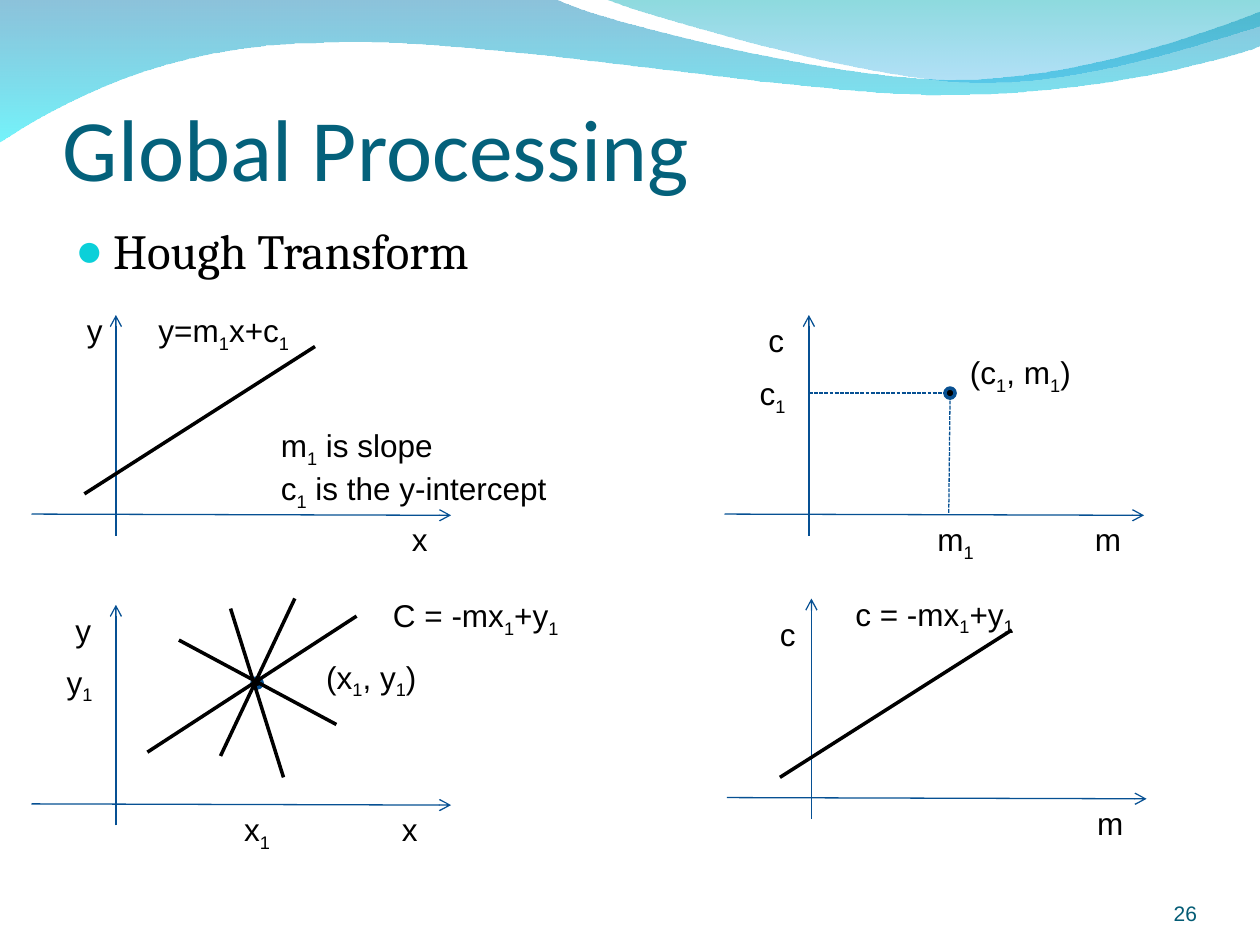
from dataclasses import dataclass

from lxml import etree
from pptx import Presentation
from pptx.dml.color import RGBColor
from pptx.enum.dml import MSO_LINE
from pptx.enum.shapes import MSO_CONNECTOR, MSO_SHAPE
from pptx.enum.text import MSO_ANCHOR, MSO_AUTO_SIZE, PP_ALIGN
from pptx.oxml.ns import qn
from pptx.util import Inches, Pt

STRAIGHT = MSO_CONNECTOR.STRAIGHT
OVAL = MSO_SHAPE.OVAL
DASH = MSO_LINE.SQUARE_DOT
TOP, BOTTOM = MSO_ANCHOR.TOP, MSO_ANCHOR.BOTTOM
LEFT, RIGHT = PP_ALIGN.LEFT, PP_ALIGN.RIGHT
GROW = MSO_AUTO_SIZE.SHAPE_TO_FIT_TEXT


@dataclass(frozen=True)
class Theme:
    title: str = "04617B"
    ink: str = "000000"
    axis: str = "065093"
    dot: str = "085091"
    bullet: str = "0BD0D9"
    number: str = "045C75"
    title_font: str = "Calibri"
    body_font: str = "Cambria"
    label_font: str = "Arial"
    title_size: float = 50
    body_size: float = 28
    label_size: float = 18
    number_size: float = 12
    thin: float = 0.75
    thick: float = 2


def rgb(color):
    return RGBColor.from_string(color)


class Deck:
    """Holds the theme and the current slide, and draws elements on it."""

    def __init__(self, prs, theme):
        self.theme = theme
        self.s = prs.slides.add_slide(prs.slide_layouts[6])

    def wave(self, start, segments, stops):
        """Add a closed outline of one-point lines and three-point curves."""
        points = [(Inches(x), Inches(y)) for seg in segments for x, y in seg]
        builder = self.s.shapes.build_freeform(*map(Inches, start))
        builder.add_line_segments(points, close=True)
        sp = builder.convert_to_shape()
        steps = iter(list(sp._element.iter(qn("a:lnTo"))))
        for seg in segments:
            first, *others = [next(steps) for _ in seg]
            if others:
                first.tag = qn("a:cubicBezTo")
            for step in others:
                first.append(step[0])
                step.getparent().remove(step)
        sp.shadow.inherit = False
        sp.line.fill.background()
        sp.fill.gradient()
        sp.fill.gradient_angle = 270
        for stop, (color, opacity) in zip(sp.fill.gradient_stops, stops):
            stop.color.rgb = rgb(color)
        for clr, (color, opacity) in zip(sp._element.spPr.iter(qn("a:srgbClr")), stops):
            etree.SubElement(clr, qn("a:alpha")).set("val", str(opacity * 1000))

    def text(self, text, x, y, w, h, font, size, color, insets=(0, 0, 0, 0),
             anchor=TOP, align=LEFT, wrap=True):
        """Add a text box; an underscore lowers the character after it."""
        sp = self.s.shapes.add_textbox(Inches(x), Inches(y), Inches(w), Inches(h))
        tf = sp.text_frame
        tf.word_wrap = wrap
        tf.vertical_anchor = anchor
        tf.margin_left, tf.margin_top, tf.margin_right, tf.margin_bottom = map(Inches, insets)
        for i, line in enumerate(text.split("\n")):
            p = tf.add_paragraph() if i else tf.paragraphs[0]
            p.alignment = align
            head, *tails = line.split("_")
            parts = [(head, False)]
            for tail in tails:
                parts += [(tail[0], True), (tail[1:], False)]
            for part, lowered in parts:
                if part:
                    r = p.add_run()
                    r.text = part
                    r.font.name, r.font.size = font, Pt(size)
                    r.font.color.rgb = rgb(color)
                    if lowered:
                        r.font._element.set("baseline", "-25000")
        return tf

    def label(self, text, x, y, w):
        t = self.theme
        h = 0.78 if "\n" in text else 0.44 if "_" in text else 0.4
        tf = self.text(text, x, y, w, h, t.label_font, t.label_size, t.ink,
                       insets=(0.1, 0.05, 0.05, 0.05), wrap=False)
        tf.auto_size = GROW

    def bullet(self, text, x, y, w, h):
        t = self.theme
        tf = self.text(text, x, y, w, h, t.body_font, t.body_size, t.ink,
                       insets=(0.1, 0, 0.1, 0.05))
        pPr = tf.paragraphs[0]._p.get_or_add_pPr()
        pPr.set("marL", str(Inches(0.3)))
        pPr.set("indent", str(-Inches(0.3)))
        clr = etree.SubElement(pPr, qn("a:buClr"))
        etree.SubElement(clr, qn("a:srgbClr")).set("val", t.bullet)
        etree.SubElement(pPr, qn("a:buSzPct")).set("val", "95000")
        etree.SubElement(pPr, qn("a:buFont")).set("typeface", t.label_font)
        etree.SubElement(pPr, qn("a:buChar")).set("char", "●")

    def line(self, x1, y1, x2, y2, color, width, dash=None, arrow=False):
        c = self.s.shapes.add_connector(STRAIGHT, *map(Inches, (x1, y1, x2, y2)))
        c.line.color.rgb = rgb(color)
        c.line.width = Pt(width)
        if dash:
            c.line.dash_style = dash
        if arrow:
            etree.SubElement(c.line._get_or_add_ln(), qn("a:tailEnd")).set("type", "arrow")
        etree.SubElement(c._element.spPr, qn("a:effectLst"))

    def axes(self, x, bottom):
        t = self.theme
        level = bottom - 0.17
        self.line(x, bottom, x, bottom - 1.75, t.axis, t.thin, arrow=True)
        self.line(x - 0.67, level, x + 2.66, level + 0.01, t.axis, t.thin, arrow=True)

    def graph(self, x1, y1, x2, y2):
        self.line(x1, y1, x2, y2, self.theme.ink, self.theme.thick)

    def guide(self, x1, y1, x2, y2):
        self.line(x1, y1, x2, y2, self.theme.axis, self.theme.thin, dash=DASH)

    def dot(self, x, y, size=0.08):
        sp = self.s.shapes.add_shape(OVAL, *map(Inches, (x, y, size, size)))
        sp.shadow.inherit = False
        sp.fill.solid()
        sp.fill.fore_color.rgb = rgb(self.theme.ink)
        sp.line.color.rgb = rgb(self.theme.dot)
        sp.line.width = Pt(self.theme.thick)


def main():
    prs = Presentation()
    prs.slide_width, prs.slide_height = Inches(10), Inches(7.5)
    t = Theme()
    d = Deck(prs, t)

    d.wave((0, -0.01),
           [[(4.4, -0.01)],
            [(4.76, 0.17), (6.64, 0.63), (7.58, 0.63)],
            [(8.53, 0.63), (9.58, 0.26), (10, 0.09)],
            [(10.01, 0.36)],
            [(9.83, 0.44), (8.7, 0.76), (7.46, 0.75)],
            [(6.22, 0.75), (3.82, 0.28), (2.57, 0.34)],
            [(1.29, 0.35), (0.46, 0.83), (-0.01, 1.13)]],
           [("0079AF", 45), ("00EBF8", 55)])
    d.wave((4.79, -0.01),
           [[(5.09, 0.11), (6.82, 0.62), (7.69, 0.65)],
            [(8.56, 0.69), (9.61, 0.32), (10, 0.21)],
            [(10, 0)]],
           [("00ADB6", 45), ("009BE5", 30)])

    d.text("Global Processing", 0.5, 0.33, 9, 1.25, t.title_font, t.title_size, t.title,
           insets=(0, 0.05, 0, 0), anchor=BOTTOM)
    d.bullet("Hough Transform", 0.5, 1.75, 9, 5.21)
    d.text("26", 8.67, 6.95, 0.83, 0.4, t.label_font, t.number_size, t.number,
           anchor=BOTTOM, align=RIGHT)

    for x, bottom in [(0.92, 4.25), (6.42, 4.25), (6.44, 6.5), (0.92, 6.55)]:
        d.axes(x, bottom)
    for x, y in [(7.5, 3.08), (2, 5.38)]:
        d.dot(x, y)
    for ends in [(6.42, 3.12, 7.5, 3.12), (7.53, 4.07, 7.54, 3.17)]:
        d.guide(*ends)
    for ends in [(0.67, 3.92, 2.5, 2.75), (6.19, 6.17, 8.03, 5), (1.17, 5.97, 2.83, 4.89),
                 (1.42, 5.08, 2.67, 5.75), (1.75, 6, 2.34, 4.75), (2.25, 6.17, 1.83, 4.83)]:
        d.graph(*ends)

    for text, x, y, w in [
        ("y", 0.59, 2.42, 0.32), ("x", 3.17, 4.08, 0.32), ("y=m_1x+c_1", 1.16, 2.42, 1.23),
        ("m_1 is slope\nc_1 is the y-intercept", 2.13, 3.33, 2.31),
        ("c", 6, 2.5, 0.32), ("c_1", 5.93, 2.92, 0.4), ("m", 8.59, 4.08, 0.41),
        ("m_1", 7.34, 4.08, 0.49), ("(c_1, m_1)", 7.6, 2.75, 1),
        ("y", 0.5, 4.8, 0.32), ("y_1", 0.43, 5.21, 0.4), ("x", 3.09, 6.38, 0.32),
        ("x_1", 1.84, 6.38, 0.4), ("(x_1, y_1)", 2.49, 5.17, 0.91),
        ("C = -mx_1+y_1", 3.02, 4.68, 1.51),
        ("c", 6.09, 4.83, 0.32), ("m", 8.61, 6.33, 0.41), ("c = -mx_1+y_1", 6.69, 4.67, 1.46),
    ]:
        d.label(text, x, y, w)

    prs.save("out.pptx")


if __name__ == "__main__":
    main()
